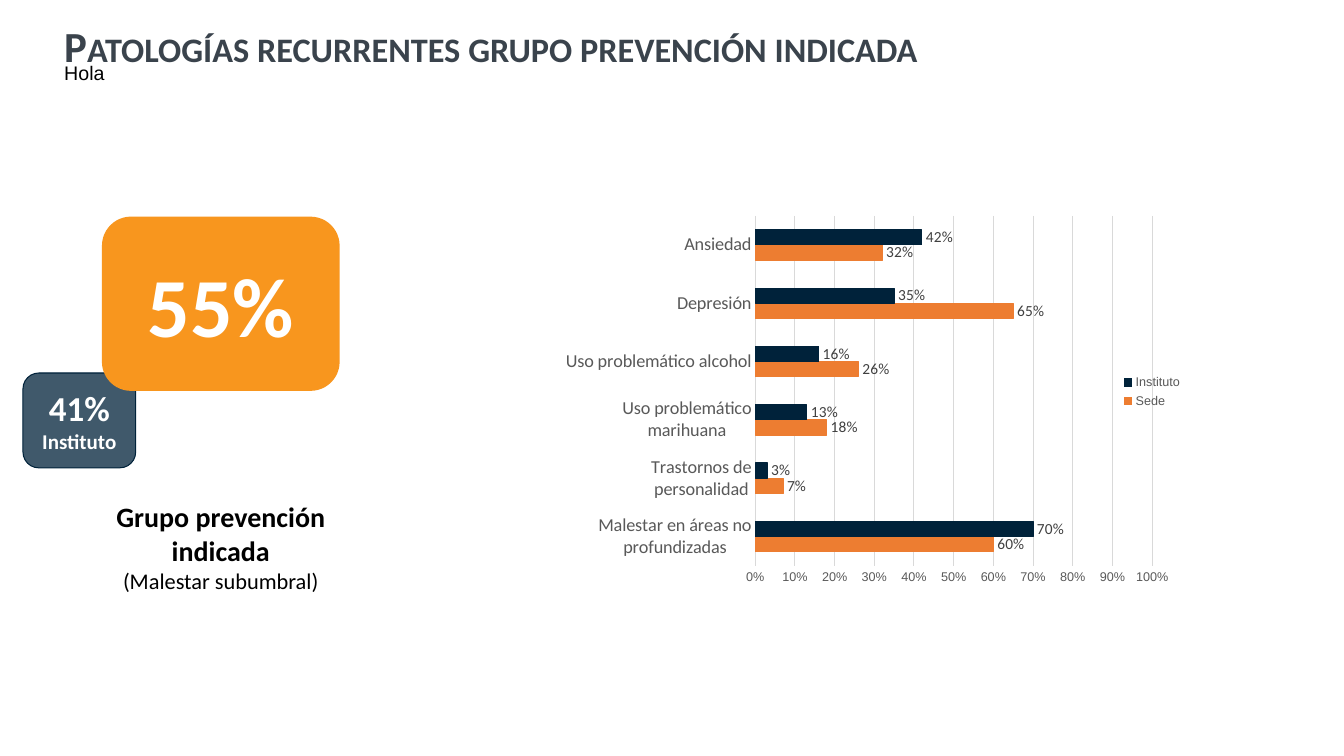
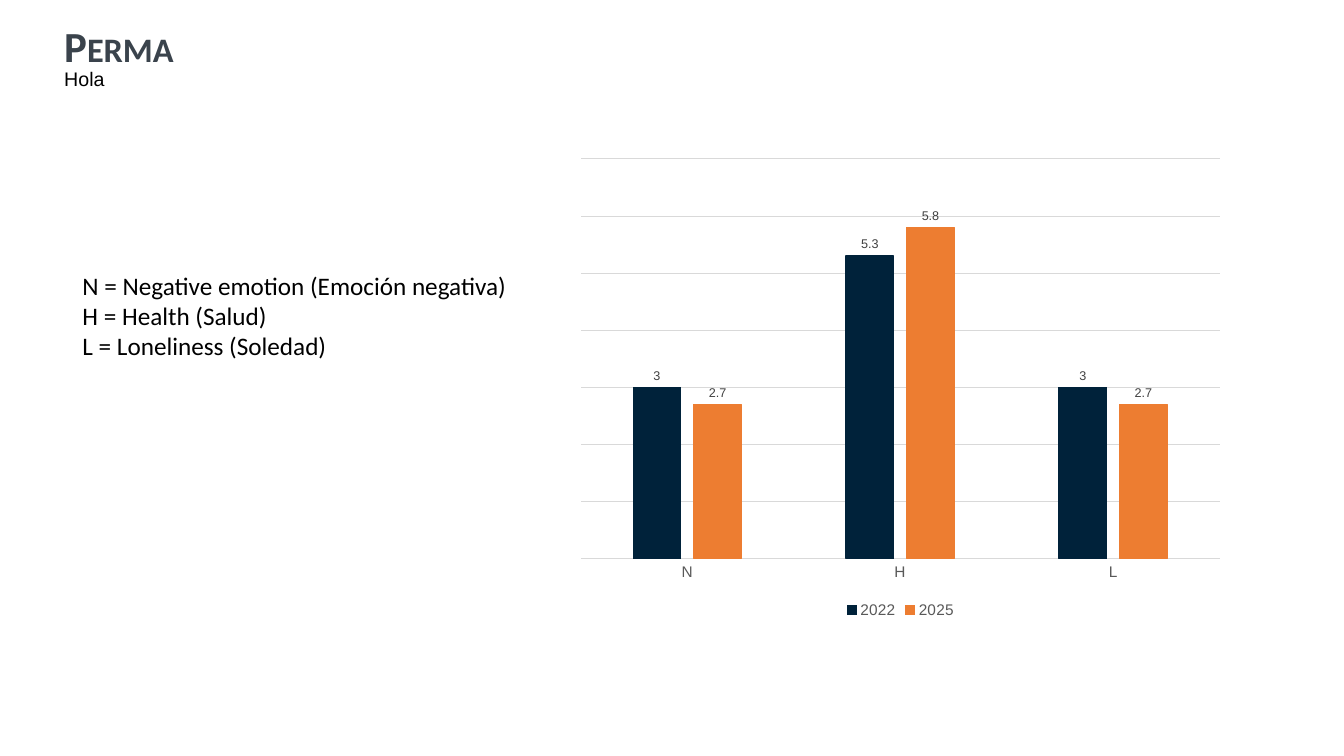
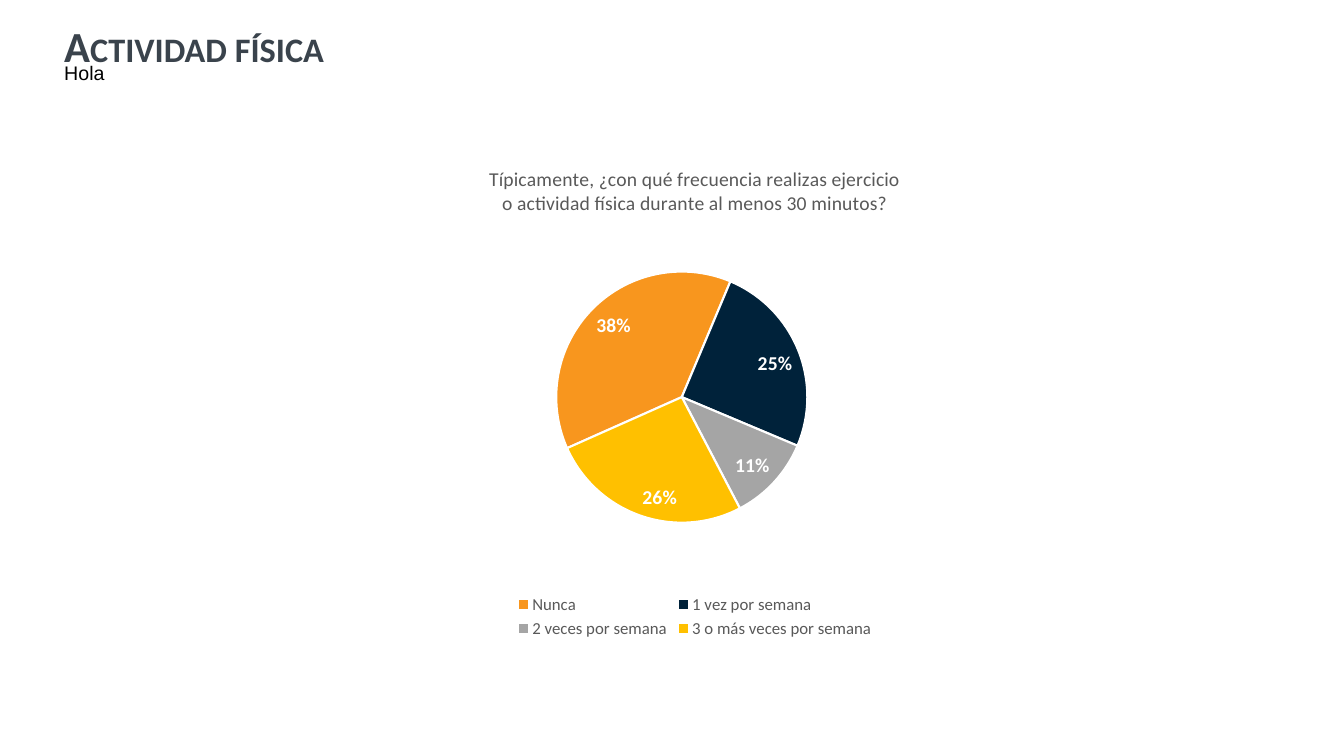
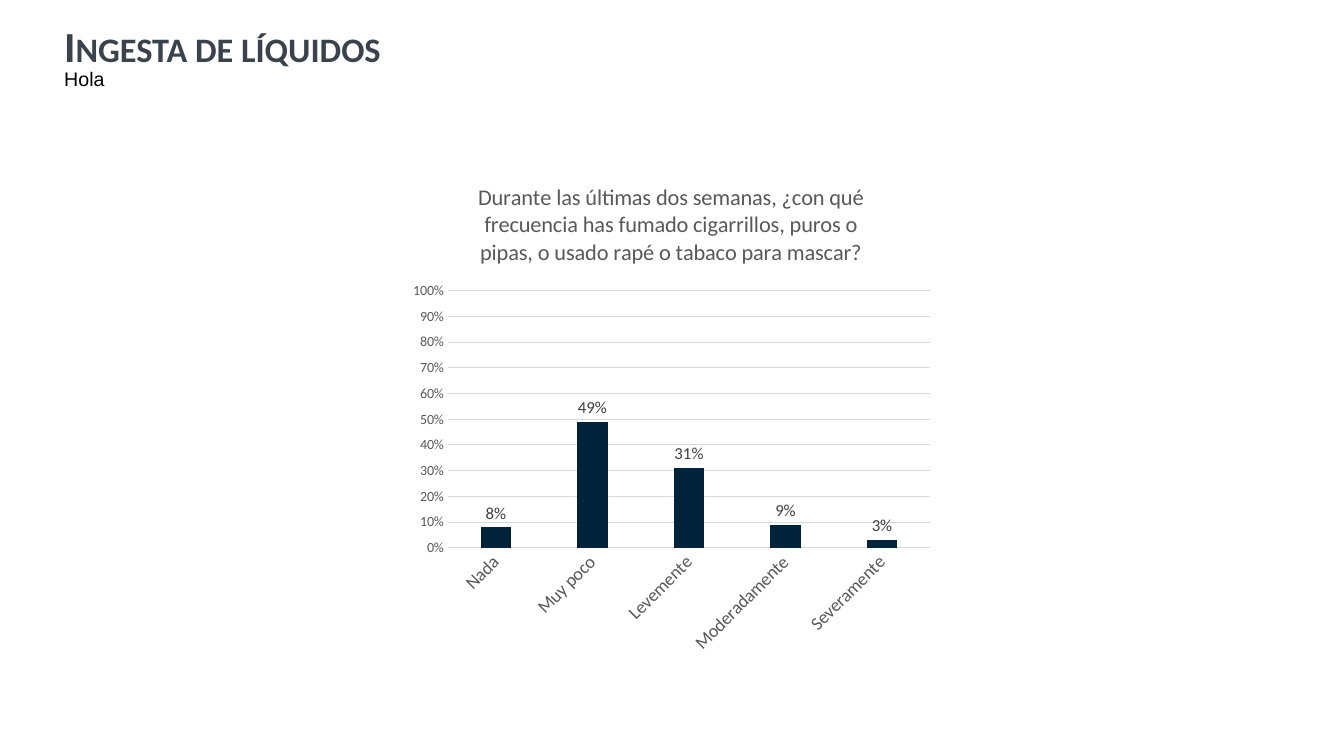
from lxml.etree import SubElement
from pptx import Presentation
from pptx.chart.data import CategoryChartData
from pptx.dml.color import RGBColor
from pptx.enum.chart import XL_CHART_TYPE, XL_LABEL_POSITION, XL_LEGEND_POSITION, XL_TICK_MARK
from pptx.enum.shapes import MSO_SHAPE
from pptx.enum.text import MSO_ANCHOR, PP_ALIGN
from pptx.oxml import parse_xml
from pptx.oxml.ns import nsdecls, qn
from pptx.util import Cm, Pt

COLORS = {
    "title": "3A434C",
    "black": "000000",
    "white": "FFFFFF",
    "navy": "00223A",
    "amber": "F8961E",
    "orange": "ED7D31",
    "gray": "A5A5A5",
    "yellow": "FFC000",
    "axis_text": "595959",
    "label_text": "404040",
    "grid": "D9D9D9",
}
BODY_FONT = "Calibri"
PLAIN_FONT = "Arial"
INSTITUTION = "Instituto"


def rgb(name):
    return RGBColor.from_string(COLORS[name])


def style_font(font, size, color, face=BODY_FONT, bold=False):
    font.name, font.size, font.bold = face, Pt(size), bold
    font.color.rgb = rgb(color)


def style_line(line, color, width=0.75):
    line.color.rgb = rgb(color)
    line.width = Pt(width)


def write_lines(frame, lines, color="black", face=BODY_FONT, align=PP_ALIGN.LEFT):
    """Fill a text frame with (text, size, bold) paragraphs."""
    frame.word_wrap = True
    for index, (text, size, bold) in enumerate(lines):
        paragraph = frame.add_paragraph() if index else frame.paragraphs[0]
        paragraph.text = text
        paragraph.alignment = align
        style_font(paragraph.runs[0].font, size, color, face, bold)


def add_text(slide, box, lines, **style):
    frame = slide.shapes.add_textbox(*map(Cm, box)).text_frame
    write_lines(frame, lines, **style)
    return frame


def add_headed_slide(prs, title):
    slide = prs.slides.add_slide(prs.slide_layouts[6])
    heading = add_text(slide, (1.37, 0.64, 32.33, 2.39), [(title, 30.6, True)], color="title")
    heading.margin_top = 0
    paragraph = heading.paragraphs[0]
    paragraph.line_spacing = 0.9
    paragraph.runs[0].font._element.set("cap", "small")
    return slide


def add_subtitle(slide, top):
    add_text(slide, (1.37, top, 25.25, 0.86), [("Hola", 14, False)], face=PLAIN_FONT)


def add_badge(slide, box, color, lines, opacity=None):
    badge = slide.shapes.add_shape(MSO_SHAPE.ROUNDED_RECTANGLE, *map(Cm, box))
    badge.shadow.inherit = False
    badge.fill.solid()
    badge.fill.fore_color.rgb = rgb(color)
    if opacity is None:
        badge.line.fill.background()
    else:
        style_line(badge.line, color)
        fill_color = badge._element.spPr.find(qn("a:solidFill"))[0]
        SubElement(fill_color, qn("a:alpha"), val=str(opacity * 1000))
    badge.text_frame.vertical_anchor = MSO_ANCHOR.MIDDLE
    write_lines(badge.text_frame, lines, color="white", align=PP_ALIGN.CENTER)


def set_plot_layout(chart, x, y, w, h):
    """Fix the inner plot area, in fractions of the chart."""
    plot_area = chart.element.find(".//" + qn("c:plotArea"))
    for layout in plot_area.findall(qn("c:layout")):
        plot_area.remove(layout)
    sizes = "".join(f'<c:{tag} val="{value}"/>' for tag, value in zip("xywh", (x, y, w, h)))
    plot_area.insert(0, parse_xml(
        f'<c:layout {nsdecls("c")}><c:manualLayout><c:layoutTarget val="inner"/>'
        f'<c:xMode val="edge"/><c:yMode val="edge"/>{sizes}</c:manualLayout></c:layout>'))


def add_chart(slide, kind, box, categories, series, plot_layout, number_format="0%"):
    data = CategoryChartData(number_format=number_format)
    data.categories = categories
    for name, values in series:
        data.add_series(name, values)
    chart = slide.shapes.add_chart(kind, *map(Cm, box), data).chart
    style_font(chart.font, 10, "black", PLAIN_FONT)
    chart.has_title = chart.has_legend = False
    set_plot_layout(chart, *plot_layout)
    return chart


def add_chart_title(chart, text, size):
    chart.has_title = True
    frame = chart.chart_title.text_frame
    frame.text = text
    style_font(frame.paragraphs[0].runs[0].font, size, "axis_text")
    chart.chart_title.include_in_layout = False


def add_legend(chart, position, size, face):
    chart.has_legend = True
    chart.legend.position = position
    chart.legend.include_in_layout = False
    style_font(chart.legend.font, size, "axis_text", face)


def label_values(series, size, face=BODY_FONT, color="label_text", bold=False,
                 number_format="0%", position=XL_LABEL_POSITION.OUTSIDE_END):
    labels = series.data_labels
    labels.show_value = True
    labels.number_format, labels.number_format_is_linked = number_format, False
    labels.position = position
    style_font(labels.font, size, color, face, bold)


def style_bars(chart, colors, gap, overlap=0, outlined=True):
    plot = chart.plots[0]
    plot.vary_by_categories = False
    plot.gap_width, plot.overlap = gap, overlap
    for series, color in zip(plot.series, colors):
        series.format.fill.solid()
        series.format.fill.fore_color.rgb = rgb(color)
        if outlined:
            style_line(series.format.line, color)


def style_axes(chart, category_font, maximum, step, value_font=None):
    """Fonts are (size, face); without a value font the value axis is hidden."""
    category, value = chart.category_axis, chart.value_axis
    style_line(category.format.line, "grid")
    style_font(category.tick_labels.font, category_font[0], "axis_text", category_font[1])
    for axis in (category, value):
        axis.major_tick_mark = axis.minor_tick_mark = XL_TICK_MARK.NONE
    value.minimum_scale, value.maximum_scale, value.major_unit = 0, maximum, step
    value.has_major_gridlines = True
    style_line(value.major_gridlines.format.line, "grid")
    if value_font is None:
        value.visible = False
        return
    value.format.line.fill.background()
    value.tick_labels.number_format = "0%"
    value.tick_labels.number_format_is_linked = False
    style_font(value.tick_labels.font, value_font[0], "axis_text", value_font[1])


def build_pathologies(prs):
    slide = add_headed_slide(prs, "Patologías recurrentes grupo prevención indicada")
    add_text(slide, (2.57, 12.47, 5.99, 2.64),
             [("Grupo prevención indicada", 20, True), ("(Malestar subumbral)", 16, False)],
             align=PP_ALIGN.CENTER)
    chart = add_chart(
        slide, XL_CHART_TYPE.BAR_CLUSTERED, (14.2, 4.88, 15.85, 9.98),
        ["Malestar en áreas no profundizadas", "Trastornos de personalidad",
         "Uso problemático marihuana", "Uso problemático alcohol", "Depresión", "Ansiedad"],
        [("Sede", (0.6, 0.07, 0.18, 0.26, 0.65, 0.32)),
         (INSTITUTION, (0.7, 0.03, 0.13, 0.16, 0.35, 0.42))],
        (0.305, 0.056, 0.631, 0.884))
    style_bars(chart, ("orange", "navy"), gap=182)
    style_axes(chart, (13, BODY_FONT), 1, 0.1, (9, PLAIN_FONT))
    add_legend(chart, XL_LEGEND_POSITION.RIGHT, 9, PLAIN_FONT)
    for series in chart.plots[0].series:
        label_values(series, 11)
    add_badge(slide, (0.58, 9.4, 2.84, 2.39), "navy",
              [("41%", 25, True), (INSTITUTION, 15, True)], opacity=75)
    add_badge(slide, (2.57, 5.46, 5.99, 4.39), "amber", [("55%", 60, True)])
    add_subtitle(slide, 1.42)


def build_perma(prs):
    slide = add_headed_slide(prs, "Perma")
    meanings = ("N = Negative emotion (Emoción negativa)", "H = Health (Salud)",
                "L = Loneliness (Soledad)")
    add_text(slide, (1.83, 6.68, 12.47, 2.57), [(meaning, 18, False) for meaning in meanings])
    chart = add_chart(
        slide, XL_CHART_TYPE.COLUMN_CLUSTERED, (14.3, 3.78, 16.79, 11.91), ["N", "H", "L"],
        [("2022", (3, 5.3, 3)), ("2025", (2.7, 5.8, 2.7))],
        (0.02, 0.019, 0.959, 0.846), number_format="General")
    style_bars(chart, ("navy", "orange"), gap=219, overlap=-27)
    style_axes(chart, (11, PLAIN_FONT), 7, 1)
    add_legend(chart, XL_LEGEND_POSITION.BOTTOM, 11, PLAIN_FONT)
    for series in chart.plots[0].series:
        label_values(series, 9, PLAIN_FONT, number_format="General")
    add_subtitle(slide, 1.55)


def build_exercise(prs):
    slide = add_headed_slide(prs, "Actividad física")
    chart = add_chart(
        slide, XL_CHART_TYPE.PIE, (10.69, 3.68, 13.64, 12.52),
        ["Nunca", "1 vez por semana", "2 veces por semana", "3 o más veces por semana"],
        [("Series 1", (0.38, 0.25, 0.11, 0.26))], (0.244, 0.223, 0.464, 0.565))
    add_chart_title(chart, "Típicamente, ¿con qué frecuencia realizas ejercicio "
                           "o actividad física durante al menos 30 minutos?", 14)
    add_legend(chart, XL_LEGEND_POSITION.BOTTOM, 12, BODY_FONT)
    plot = chart.plots[0]
    plot.vary_by_categories = True
    frequency = plot.series[0]
    for index, color in enumerate(("amber", "navy", "gray", "yellow")):
        slice_format = frequency.points[index].format
        slice_format.fill.solid()
        slice_format.fill.fore_color.rgb = rgb(color)
        style_line(slice_format.line, "white", 1.5)
    label_values(frequency, 14, color="white", bold=True, position=XL_LABEL_POSITION.INSIDE_END)
    pie = chart.element.find(".//" + qn("c:pieChart"))
    for angle in pie.findall(qn("c:firstSliceAng")):
        pie.remove(angle)
    SubElement(pie, qn("c:firstSliceAng"), val="246")
    add_subtitle(slide, 1.42)


def build_intake(prs):
    slide = add_headed_slide(prs, "Ingesta de líquidos")
    chart = add_chart(
        slide, XL_CHART_TYPE.COLUMN_CLUSTERED, (10.13, 4.09, 13.56, 12.65),
        ["Nada", "Muy poco", "Levemente", "Moderadamente", "Severamente"],
        [("Series 1", (0.08, 0.49, 0.31, 0.09, 0.03))], (0.085, 0.256, 0.897, 0.512))
    add_chart_title(chart, "Durante las últimas dos semanas, ¿con qué frecuencia has fumado "
                           "cigarrillos, puros o pipas, o usado rapé o tabaco para mascar?", 16)
    style_bars(chart, ("navy",), gap=219, overlap=-27, outlined=False)
    style_axes(chart, (13, BODY_FONT), 1, 0.1, (10, BODY_FONT))
    label_values(chart.plots[0].series[0], 12)
    category_axis = chart.element.find(".//" + qn("c:catAx"))
    category_axis.find(f"{qn('c:txPr')}/{qn('a:bodyPr')}").set("rot", "-2700000")
    add_subtitle(slide, 1.55)


def main():
    prs = Presentation()
    prs.slide_width, prs.slide_height = Cm(33.87), Cm(19.05)
    for build in (build_pathologies, build_perma, build_exercise, build_intake):
        build(prs)
    prs.save("out.pptx")


if __name__ == "__main__":
    main()
